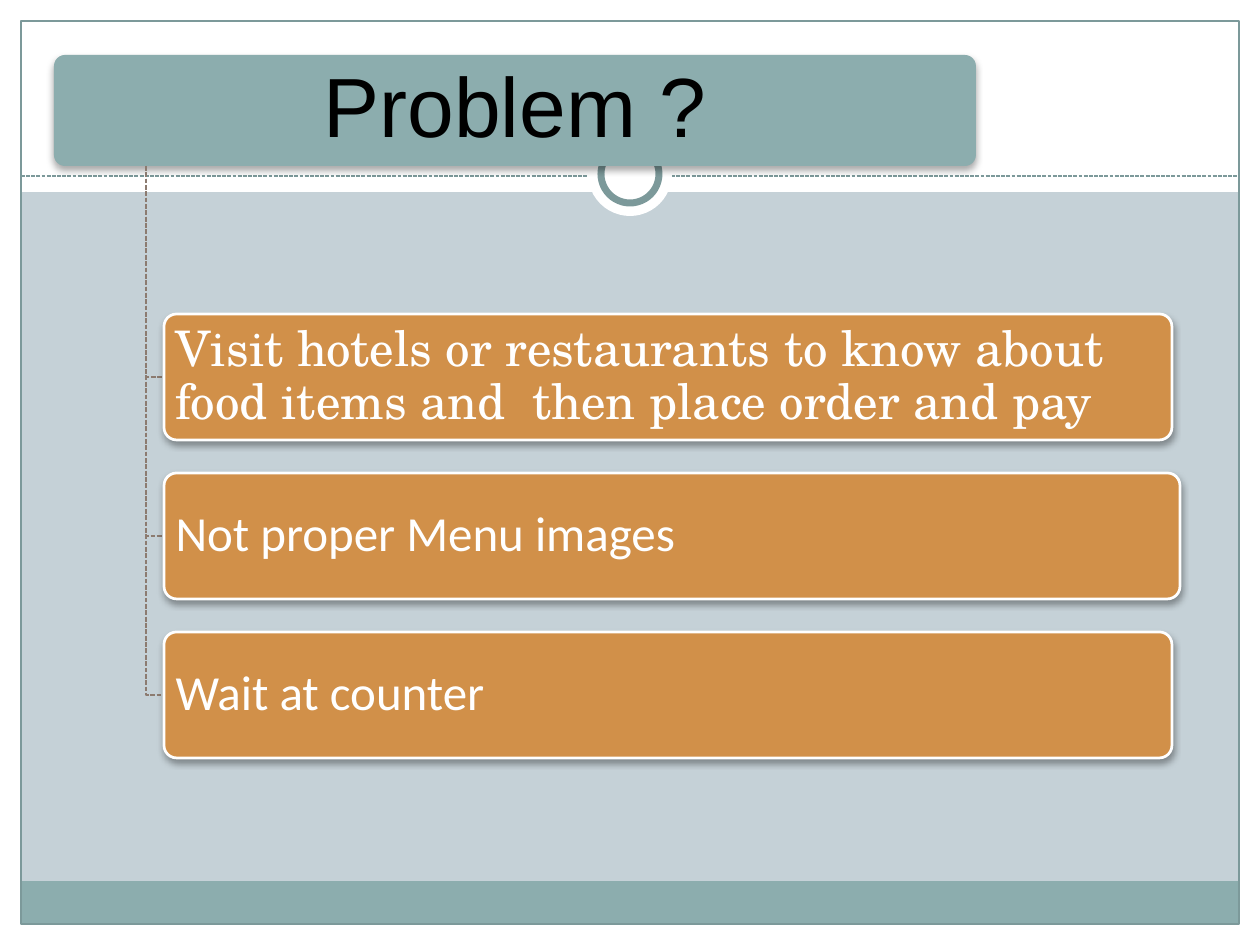
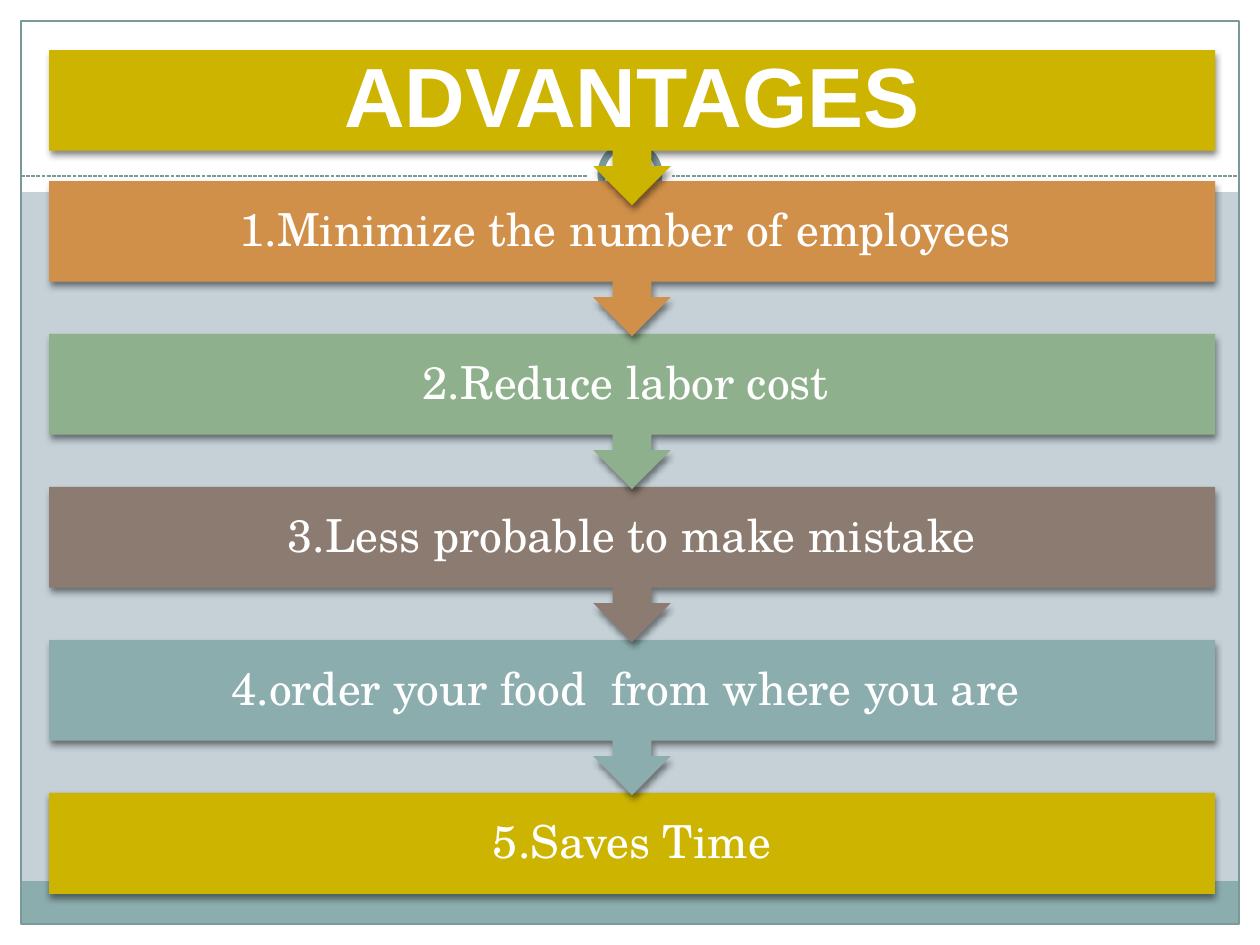
import pptx
import pptx.util
import pptx.dml.color
import pptx.enum.dml
import pptx.enum.shapes
import pptx.enum.text
import pptx.oxml.ns
import lxml.etree

RGB = pptx.dml.color.RGBColor
KIND = pptx.enum.shapes.MSO_SHAPE
ALIGN = pptx.enum.text.PP_ALIGN
DASH = pptx.enum.dml.MSO_LINE.SQUARE_DOT
Pt = pptx.util.Pt

WHITE = RGB(0xFF, 0xFF, 0xFF)
BLACK = RGB(0x00, 0x00, 0x00)
MIST = RGB(0xC5, 0xD1, 0xD7)
TEAL = RGB(0x8C, 0xAD, 0xAE)
SLATE = RGB(0x7C, 0x99, 0x9A)
BROWN = RGB(0x8C, 0x7B, 0x70)
AMBER = RGB(0xD1, 0x90, 0x49)
GREEN = RGB(0x8F, 0xB0, 0x8C)
GOLD = RGB(0xCC, 0xB4, 0x00)

SANS = "Arial"
BODY = "Calibri"
SERIF = "TeX Gyre Schola"

SCALE = 914400 / 126
WIDE, HIGH = 1260, 945
EDGE = 21


def px(size):
    return round(size * SCALE)


def effects(shape, shade=0):
    name = pptx.oxml.ns.qn
    list_ = lxml.etree.SubElement(shape.element.spPr, name("a:effectLst"))
    if shade:
        drop = lxml.etree.SubElement(
            list_, name("a:outerShdw"), blurRad=str(Pt(4)), dist=str(Pt(2)),
            dir="5400000", algn="ctr", rotWithShape="0")
        tint = lxml.etree.SubElement(drop, name("a:srgbClr"), val="000000")
        lxml.etree.SubElement(tint, name("a:alpha"), val=str(shade * 1000))


def paint(shape, fill=None, line=None, width=0.75):
    if fill is None:
        shape.fill.background()
    else:
        shape.fill.solid()
        shape.fill.fore_color.rgb = fill
    if line is None:
        shape.line.fill.background()
    else:
        shape.line.color.rgb = line
        shape.line.width = Pt(width)


def block(slide, kind, box, fill=None, line=None, width=0.75, shade=0):
    shape = slide.shapes.add_shape(kind, *map(px, box))
    paint(shape, fill, line, width)
    effects(shape, shade)
    return shape


def write(shape, text, font, size, color, align, inset=(0, 0), bold=False):
    frame = shape.text_frame
    frame.word_wrap = True
    frame.auto_size = pptx.enum.text.MSO_AUTO_SIZE.NONE
    frame.vertical_anchor = pptx.enum.text.MSO_ANCHOR.MIDDLE
    frame.margin_left = frame.margin_right = px(inset[0])
    frame.margin_top = frame.margin_bottom = px(inset[1])
    para = frame.paragraphs[0]
    para.alignment = align
    para.line_spacing = 0.9
    run = para.add_run()
    run.text = text
    run.font.name = font
    run.font.size = Pt(size)
    run.font.bold = bold
    run.font.color.rgb = color


def head(slide, box, text, color, bold=False):
    title = slide.shapes.title
    title.left, title.top, title.width, title.height = map(px, box)
    write(title, text, SANS, 48, color, ALIGN.CENTER, bold=bold)
    slide.shapes.element.append(title.element)


def frame_parts(slide):
    span = WIDE - 2 * EDGE
    base = HIGH - EDGE
    bands = [
        ((0, base, WIDE, EDGE), WHITE),
        ((0, 0, WIDE, 192), WHITE),
        ((0, 0, EDGE, HIGH), WHITE),
        ((WIDE - EDGE, 0, EDGE, HIGH), WHITE),
        ((EDGE, 881, span, base - 881), TEAL),
    ]
    parts = [block(slide, KIND.RECTANGLE, box, fill) for box, fill in bands]
    parts.append(block(slide, KIND.RECTANGLE,
                       (EDGE, EDGE, span, base - EDGE), line=SLATE))
    rule = slide.shapes.add_connector(
        pptx.enum.shapes.MSO_CONNECTOR.STRAIGHT,
        px(EDGE), px(176), px(WIDE - EDGE), px(176))
    rule.line.color.rgb = SLATE
    rule.line.width = Pt(0.75)
    rule.line.dash_style = DASH
    effects(rule)
    parts.append(rule)
    parts.append(block(slide, KIND.OVAL, (588, 132, 84, 84), WHITE))
    parts.append(block(slide, KIND.OVAL, (601, 145, 58, 58), WHITE, SLATE, 4))
    return parts


def set_theme(layout, slide):
    layout.background.fill.solid()
    layout.background.fill.fore_color.rgb = MIST
    for count, part in enumerate(frame_parts(slide), 100):
        part.element.xpath(".//p:cNvPr")[0].set("id", str(count))
        layout.shapes.element.append(part.element)


def branch(slide, left, top, right, base):
    pen = slide.shapes.build_freeform(px(left), px(top))
    pen.add_line_segments(
        [(px(left), px(base)), (px(right), px(base))], close=False)
    shape = pen.convert_to_shape()
    paint(shape, line=BROWN, width=0.9)
    shape.line.dash_style = DASH
    effects(shape)


def problem(slide, box):
    left, top, width, height = box
    plate = (left, top, width, 111)
    root = block(slide, KIND.ROUNDED_RECTANGLE, plate, TEAL, shade=35)
    root.adjustments[0] = 0.1
    rows = [
        ("Visit hotels or restaurants to know about food items and  "
         "then place order and pay", SERIF, 1008),
        ("Not proper Menu images", BODY, 1016),
        ("Wait at counter", BODY, 1008),
    ]
    tall, step = 126, 159
    start = top + height - tall - step * (len(rows) - 1)
    for count, (text, font, wide) in enumerate(rows):
        y = start + count * step
        branch(slide, left + 92, top + 111, left + 110, y + tall / 2)
        card = block(slide, KIND.ROUNDED_RECTANGLE,
                     (left + 110, y, wide, tall), AMBER, WHITE, 1.57, 35)
        card.adjustments[0] = 0.1
        write(card, text, font, 28, WHITE, ALIGN.LEFT, (8, 5))
    head(slide, plate, "Problem ?", BLACK)


def gains(slide, box):
    left, top, width, height = box
    bar, tall, step = 101, 155, 153
    rows = [
        ("1.Minimize the number of employees ", AMBER),
        ("2.Reduce labor cost ", GREEN),
        ("3.Less probable to make mistake", BROWN),
        ("4.order your food  from where you are ", TEAL),
        ("5.Saves Time", GOLD),
    ]
    last = len(rows) - 1
    start = top + height - bar - step * last
    for count, (text, fill) in reversed(list(enumerate(rows))):
        kind, size = KIND.DOWN_ARROW_CALLOUT, tall
        if count == last:
            kind, size = KIND.RECTANGLE, bar
        card = block(slide, kind, (left, start + count * step, width, size),
                     fill, shade=45)
        write(card, text, SERIF, 26, WHITE, ALIGN.CENTER, (25, 25))
    block(slide, KIND.DOWN_ARROW_CALLOUT, (left, top, width, tall),
          GOLD, shade=45)
    head(slide, (left, top, width, bar), "ADVANTAGES", WHITE, True)


def main():
    deck = pptx.Presentation()
    deck.slide_width, deck.slide_height = px(WIDE), px(HIGH)
    layout = deck.slide_layouts[5]
    first, second = [deck.slides.add_slide(layout) for _ in range(2)]
    set_theme(layout, first)
    problem(first, (54, 55, 922, 703))
    gains(second, (49, 50, 1166, 844))
    deck.save("out.pptx")


if __name__ == "__main__":
    main()
